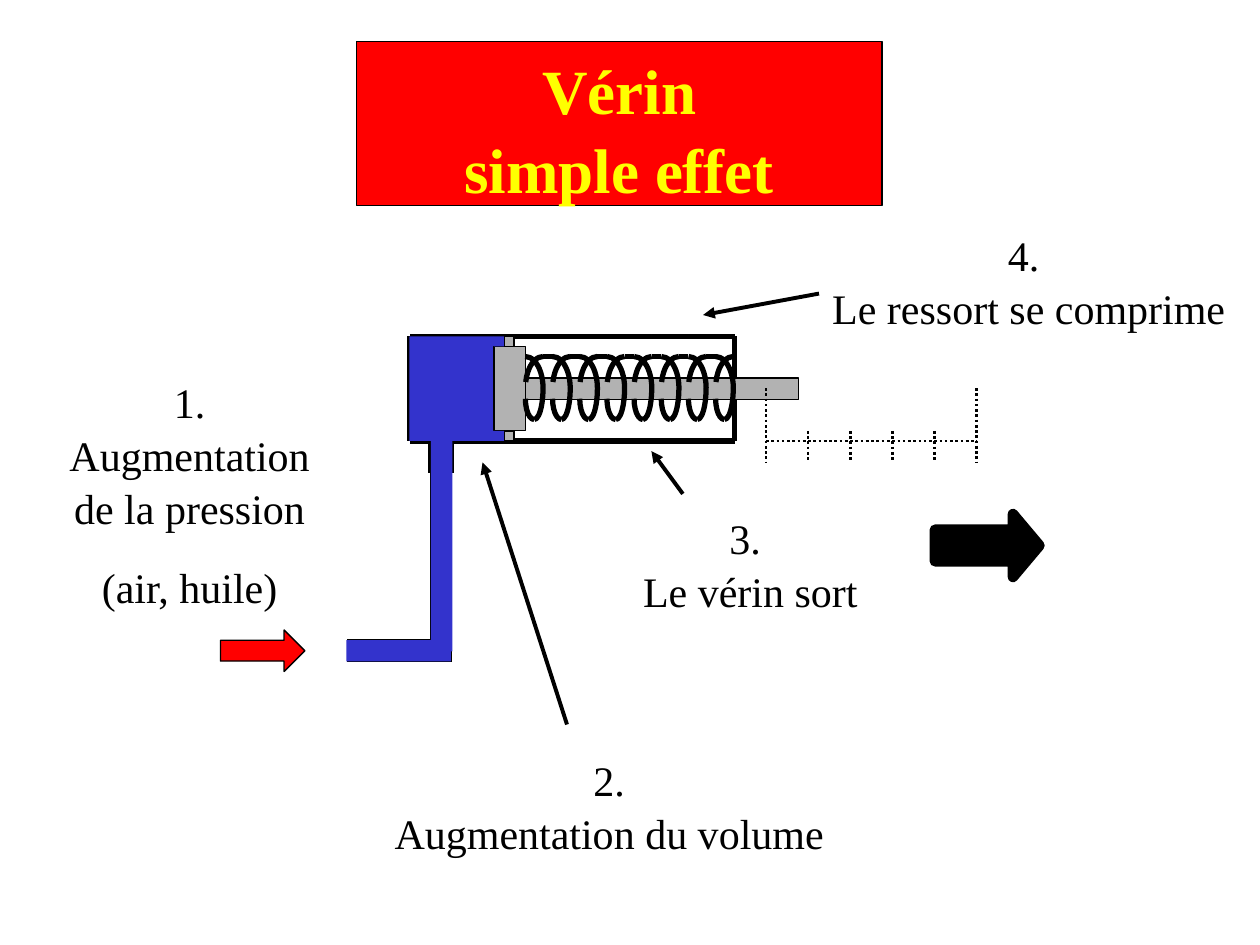
from dataclasses import dataclass

from lxml.etree import SubElement
from pptx import Presentation
from pptx.dml.color import RGBColor
from pptx.enum.dml import MSO_LINE
from pptx.enum.shapes import MSO_CONNECTOR, MSO_SHAPE
from pptx.enum.text import MSO_ANCHOR, MSO_AUTO_SIZE, PP_ALIGN
from pptx.oxml.ns import qn
from pptx.util import Inches, Pt


@dataclass(frozen=True)
class Theme:
    font: str = "Times New Roman"
    black: str = "000000"
    red: str = "FF0000"
    yellow: str = "FFFF00"
    fluid: str = "3333CC"
    metal: str = "B2B2B2"
    title_size: int = 36
    label_size: int = 24
    line_spacing: float = 1.05
    thin: float = 0.75
    dotted: float = 1.5
    pointer: float = 2.25
    thick: float = 3
    heavy: float = 6


class Diagram:
    def __init__(self, slide, theme):
        self.theme = theme
        self.slide = slide
        self.canvas = slide.shapes

    def start_group(self):
        self.canvas = self.slide.shapes.add_group_shape().shapes

    def end_group(self):
        self.canvas = self.slide.shapes

    def shape(self, kind, box, fill=None, line_width=None, adjustments=()):
        shape = self.canvas.add_shape(kind, *map(Inches, box))
        shape.shadow.inherit = False
        for index, value in enumerate(adjustments):
            shape.adjustments[index] = value
        if fill:
            shape.fill.solid()
            shape.fill.fore_color.rgb = RGBColor.from_string(fill)
        else:
            shape.fill.background()
        if line_width:
            self.stroke(shape.line, line_width)
        else:
            shape.line.fill.background()
        return shape

    def block(self, box, fill, line_width=None):
        return self.shape(MSO_SHAPE.RECTANGLE, box, fill, line_width)

    def arc(self, box, start, end):
        # Arc angles are stored in 1/60000 degree, adjustments in 1/100000
        angles = [degrees * 0.6 for degrees in (start, end)]
        return self.shape(MSO_SHAPE.ARC, box, None, self.theme.thick, angles)

    def line(self, start, end, width, dash=None, arrow=False):
        connector = self.canvas.add_connector(
            MSO_CONNECTOR.STRAIGHT, *map(Inches, (*start, *end)))
        self.stroke(connector.line, width)
        if dash:
            connector.line.dash_style = dash
        if arrow:
            SubElement(connector.line._get_or_add_ln(), qn("a:tailEnd"), type="triangle")
        SubElement(connector._element.spPr, qn("a:effectLst"))

    def stroke(self, line, width):
        line.color.rgb = RGBColor.from_string(self.theme.black)
        line.width = Pt(width)

    def label(self, box, *paragraphs):
        textbox = self.canvas.add_textbox(*map(Inches, box))
        self.set_text(textbox.text_frame, paragraphs, self.theme.label_size, self.theme.black)

    def title(self, box, text):
        banner = self.block(box, self.theme.red, self.theme.thin)
        self.set_text(banner.text_frame, [text], self.theme.title_size, self.theme.yellow, True)

    def set_text(self, frame, paragraphs, size, color, bold=False):
        frame.word_wrap = True
        frame.auto_size = MSO_AUTO_SIZE.SHAPE_TO_FIT_TEXT
        frame.vertical_anchor = MSO_ANCHOR.TOP
        for index, text in enumerate(paragraphs):
            paragraph = frame.add_paragraph() if index else frame.paragraphs[0]
            paragraph.text = text
            paragraph.alignment = PP_ALIGN.CENTER
            paragraph.space_before = Pt(size * 0.625)
            paragraph.line_spacing = self.theme.line_spacing
            for run in paragraph.runs:
                run.font.name = self.theme.font
                run.font.size = Pt(size)
                run.font.bold = bold
                run.font.color.rgb = RGBColor.from_string(color)


def draw_cylinder(diagram):
    theme = diagram.theme
    left, right, top, bottom = 3.25, 5.83, 2.67, 3.5
    pipe_left, pipe_right, neck = 3.42, 3.58, 3.75
    inlet, pipe_top, pipe_bottom = 2.75, 5.08, 5.25

    # Walls, left open at the pipe neck
    walls = [
        ((pipe_right, bottom), (right, bottom)),
        ((pipe_right, bottom), (pipe_right, neck)),
        ((pipe_left, bottom), (pipe_left, neck)),
        ((right, top), (left, top)),
        ((left, top), (left, bottom)),
        ((left, bottom), (pipe_left, bottom)),
    ]
    pipe = [
        ((pipe_left, neck), (pipe_left, pipe_top)),
        ((pipe_right, neck), (pipe_right, pipe_bottom)),
        ((pipe_left, pipe_top), (inlet, pipe_top)),
        ((pipe_right, pipe_bottom), (inlet, pipe_bottom)),
    ]
    for edges, width in ((walls, theme.thick), (pipe, theme.thin)):
        for start, end in edges:
            diagram.line(start, end, width)

    # Fluid in the pipe and the chamber
    for box in ((inlet, pipe_top, 0.83, 0.17), (pipe_left, bottom, 0.17, 1.67),
                (left, top, 0.67, 0.83)):
        diagram.block(box, theme.fluid)
    diagram.line((right, bottom), (right, top), theme.thick)


def draw_piston(diagram):
    theme = diagram.theme
    diagram.start_group()
    # Head, seals and rod
    for box in ((3.92, 2.75, 0.25, 0.67), (4, 2.67, 0.08, 0.08),
                (4, 3.42, 0.08, 0.08), (4.17, 3, 2.17, 0.17)):
        diagram.block(box, theme.metal, theme.thin)
    # Fluid beside the seals
    for top in (3.42, 2.67):
        diagram.block((3.92, top, 0.08, 0.08), theme.fluid)
    diagram.end_group()


def draw_spring(diagram):
    coils, first, end, top, height, width = 8, 4.17, 5.82, 2.83, 0.5, 0.14
    pitch = (end - width - first) / (coils - 1)
    diagram.start_group()
    for coil in range(coils):
        x = first + coil * pitch
        diagram.arc((x - width, top, 2 * width, height), 270, 0)
        diagram.arc((x, top, width, height), 0, 90)
        diagram.arc((x, 3, width, 0.33), 90, 180)
        diagram.arc((x, top, 2 * width, height), 199, 270)
        if coil < coils - 1:
            diagram.line((x + width, top), (x + pitch, top), diagram.theme.thick)
    diagram.end_group()


def draw_scale(diagram):
    left, right, axis, divisions = 6.08, 7.75, 3.5, 5
    marks = [((left, axis), (right, axis))]
    for mark in range(divisions + 1):
        x = left + mark * (right - left) / divisions
        top = 3.08 if mark in (0, divisions) else 3.42
        marks.append(((x, top), (x, 3.67)))
    for start, end in marks:
        diagram.line(start, end, diagram.theme.dotted, MSO_LINE.ROUND_DOT)


def main():
    presentation = Presentation()
    presentation.slide_width, presentation.slide_height = Inches(10), Inches(7.5)
    theme = Theme()
    diagram = Diagram(presentation.slides.add_slide(presentation.slide_layouts[6]), theme)

    diagram.title((2.83, 0.33, 4.17, 1.3), "Vérin\vsimple effet")

    # Mechanism
    draw_cylinder(diagram)
    draw_piston(diagram)
    draw_spring(diagram)
    draw_scale(diagram)

    # Pressure in, rod out
    diagram.shape(MSO_SHAPE.RIGHT_ARROW, (1.75, 5, 0.67, 0.33), theme.red, theme.thin)
    diagram.shape(MSO_SHAPE.RIGHT_ARROW, (7.42, 4.08, 0.83, 0.5), theme.black,
                  theme.heavy, (0.5, 0.42))

    # Numbered steps
    diagram.label((0.42, 2.92, 2.17, 1.91), "1. Augmentation de la pression", "(air, huile)")
    diagram.label((3, 5.92, 3.67, 0.9), "2.\vAugmentation du volume")
    diagram.label((4.83, 4, 2.25, 0.9), "3. \vLe vérin sort")
    diagram.label((6.33, 1.75, 3.67, 0.9), "4. \vLe ressort se comprime")

    # Pointers from the steps to the mechanism
    for start, end in (((4.5, 5.75), (3.83, 3.67)), ((5.42, 3.92), (5.17, 3.58)),
                       ((6.5, 2.33), (5.58, 2.5))):
        diagram.line(start, end, theme.pointer, arrow=True)

    presentation.save("out.pptx")


if __name__ == "__main__":
    main()
